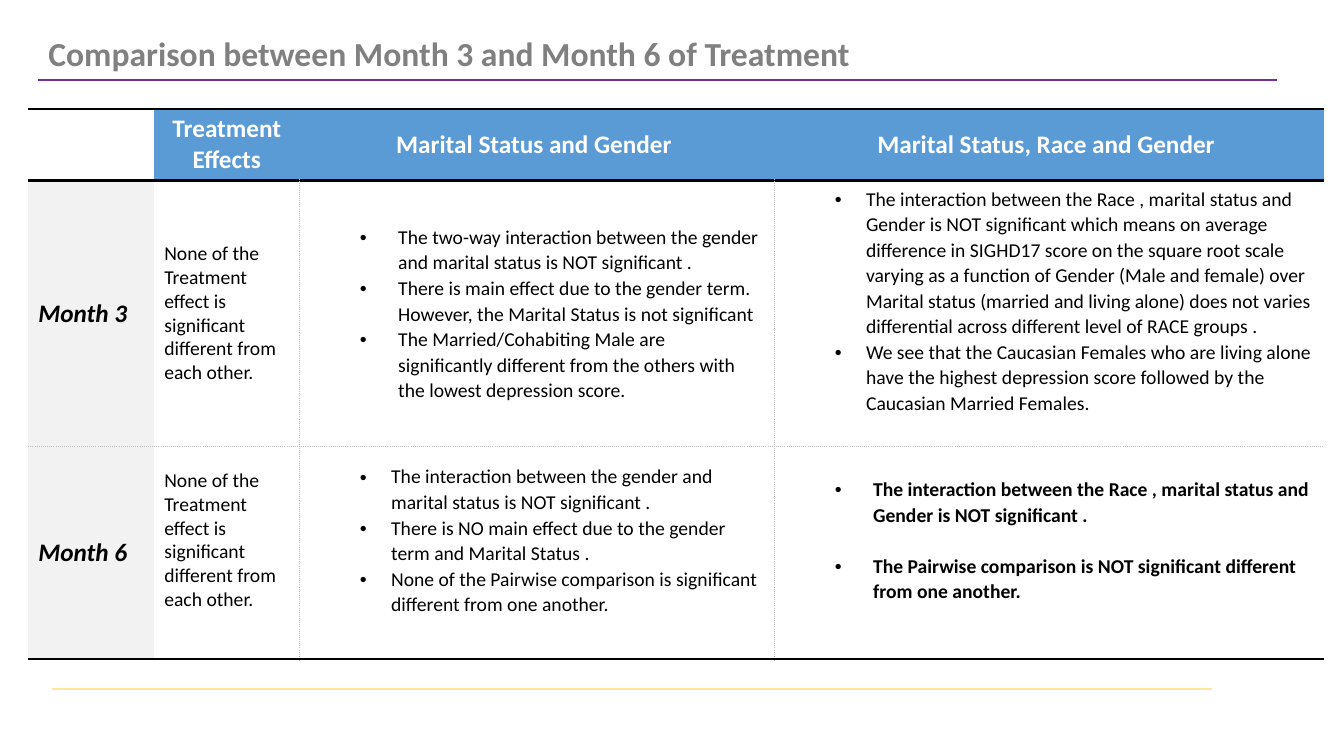
"""Build a slide that compares months 3 and 6 of treatment."""
import dataclasses

import pptx
import pptx.dml.color
import pptx.enum.shapes
import pptx.enum.text
import pptx.oxml.ns
import pptx.util
from lxml import etree

TITLE = "Comparison between Month 3 and Month 6 of Treatment"
HEADS = ["", "Treatment Effects", "Marital Status and Gender ", "Marital Status, Race and Gender "]
NONE = "None of the Treatment effect is significant different from each other."
MONTHS = [
    ("Month 3", NONE, [
        "The two-way interaction between the gender and marital status is NOT significant .",
        "There is main effect due to the gender term. However, the Marital Status is not significant",
        "The Married/Cohabiting Male are significantly different from the others with the lowest depression score.",
    ], [
        "The interaction between the Race , marital status and Gender is NOT significant which means on average "
        "difference in SIGHD17 score on the square root scale varying as a function of Gender (Male and female) "
        "over Marital status (married and living alone) does not varies differential across different level of "
        "RACE groups .",
        "We see that the Caucasian Females who are living alone have the highest depression score followed by "
        "the Caucasian Married Females.",
    ]),
    ("Month 6", NONE, [
        "The interaction between the gender and marital status is NOT significant .",
        "There is NO main effect due to the gender term and Marital Status .",
        "None of the Pairwise comparison is significant different from one another.",
    ], [
        "The interaction between the Race , marital status and Gender is NOT significant .",
        "The Pairwise comparison is NOT significant different from one another.",
    ]),
]
COLS = [1.25, 1.44, 4.71, 5.45]
ROWS = [0.71, 2.64, 2.11]
HANGS = {(1, 2): 0.38, (1, 3): 0.31, (2, 2): 0.31, (2, 3): 0.38}
RAISED = {(1, 3), (2, 1), (2, 2), (2, 3)}


@dataclasses.dataclass
class Theme:
    """Hold the colours and type sizes."""
    font: str = "Calibri"
    ink: str = "000000"
    grey: str = "808080"
    white: str = "FFFFFF"
    blue: str = "5B9BD5"
    pale: str = "F2F2F2"
    dots: str = "BFBFBF"
    rule: str = "7030A0"
    foot: str = "FFE699"
    title: int = 24
    head: int = 18
    body: int = 14


LOOK = Theme()
Inch = pptx.util.Inches
Point = pptx.util.Pt
Align = pptx.enum.text.PP_ALIGN
Anchor = pptx.enum.text.MSO_ANCHOR


def paint(code):
    return pptx.dml.color.RGBColor.from_string(code)


def add(parent, tag, **attrs):
    return etree.SubElement(parent, pptx.oxml.ns.qn(tag), attrs)


def write(frame, text, size=LOOK.body, color=LOOK.ink, bold=False, italic=False,
          align=Align.LEFT, space=None, hang=None, gap=0):
    lines = [text] if isinstance(text, str) else text
    for i, line in enumerate(lines):
        para = frame.add_paragraph() if i else frame.paragraphs[0]
        para.alignment = align
        if space:
            para.line_spacing = space
        if i and gap:
            para.space_before = Point(gap)
        if hang:
            para.level = 1
            props = para._p.get_or_add_pPr()
            props.set("marL", str(Inch(0.5 + hang)))
            props.set("indent", str(-Inch(hang)))
            add(props, "a:buFont", typeface="Arial")
            add(props, "a:buChar", char="•")
        run = para.add_run()
        run.text = line
        font = run.font
        font.name, font.size, font.bold, font.italic = LOOK.font, Point(size), bold, italic
        font.color.rgb = paint(color)


def edge(cell, row, col):
    heavy, dotted = (LOOK.ink, 2, "solid"), (LOOK.dots, 1, "sysDot")
    last = len(ROWS) - 1
    sides = {
        "L": dotted if row and col > 1 else None,
        "R": dotted if row and 0 < col < len(COLS) - 1 else None,
        "T": dotted if row == last else heavy,
        "B": dotted if row == 1 else heavy,
    }
    props = cell._tc.get_or_add_tcPr()
    for side, style in sides.items():
        color, width, dash = style or (LOOK.ink, 0, "solid")
        line = add(props, "a:ln" + side, w=str(Point(width)))
        if style:
            add(add(line, "a:solidFill"), "a:srgbClr", val=color)
            add(line, "a:prstDash", val=dash)
        else:
            add(line, "a:noFill")


def shade(cell, row, col):
    color = LOOK.pale if row and not col else LOOK.blue if col and not row else None
    if color:
        cell.fill.solid()
        cell.fill.fore_color.rgb = paint(color)
    else:
        cell.fill.background()


def style(row, col):
    if not row:
        return dict(size=LOOK.head, color=LOOK.white, bold=True, align=Align.CENTER)
    if not col:
        return dict(size=LOOK.head, bold=True, italic=True)
    if col == 1:
        return {}
    strong = (row, col) == (2, 3)
    return dict(space=1.07, hang=HANGS[row, col], bold=strong, gap=18.3 if strong else 0)


def rule(slide, left, right, top, color):
    line = slide.shapes.add_connector(pptx.enum.shapes.MSO_CONNECTOR.STRAIGHT,
                                      Inch(left), Inch(top), Inch(right), Inch(top))
    line.line.color.rgb = paint(color)
    line.line.width = Point(1.5)
    add(line._element.spPr, "a:effectLst")


def grid(slide):
    shape = slide.shapes.add_table(len(ROWS), len(COLS), Inch(0.28), Inch(1.08),
                                   Inch(sum(COLS)), Inch(sum(ROWS)))
    table = shape.table
    table.first_row = table.horz_banding = False
    for col, width in enumerate(COLS):
        table.columns[col].width = Inch(width)
    for row, texts in enumerate([HEADS, *MONTHS]):
        table.rows[row].height = Inch(ROWS[row])
        for col, text in enumerate(texts):
            cell = table.cell(row, col)
            cell.vertical_anchor = Anchor.MIDDLE
            if (row, col) in RAISED:
                cell.margin_bottom = Inch(0.3)
            edge(cell, row, col)
            shade(cell, row, col)
            if text:
                write(cell.text_frame, text, **style(row, col))


def main():
    deck = pptx.Presentation()
    deck.slide_width, deck.slide_height = Inch(13.33), Inch(7.5)
    slide = deck.slides.add_slide(deck.slide_layouts[5])
    rule(slide, 0.38, 12.67, 0.79, LOOK.rule)
    title = slide.shapes.title
    title.left, title.top, title.width, title.height = map(Inch, (0.38, 0.25, 8.23, 0.51))
    frame = title.text_frame
    frame.word_wrap = False
    frame.auto_size = pptx.enum.text.MSO_AUTO_SIZE.SHAPE_TO_FIT_TEXT
    frame.vertical_anchor = Anchor.TOP
    write(frame, TITLE, size=LOOK.title, color=LOOK.grey, bold=True, space=1.07)
    rule(slide, 0.52, 12.02, 6.84, LOOK.foot)
    grid(slide)
    deck.save("out.pptx")


if __name__ == "__main__":
    main()
